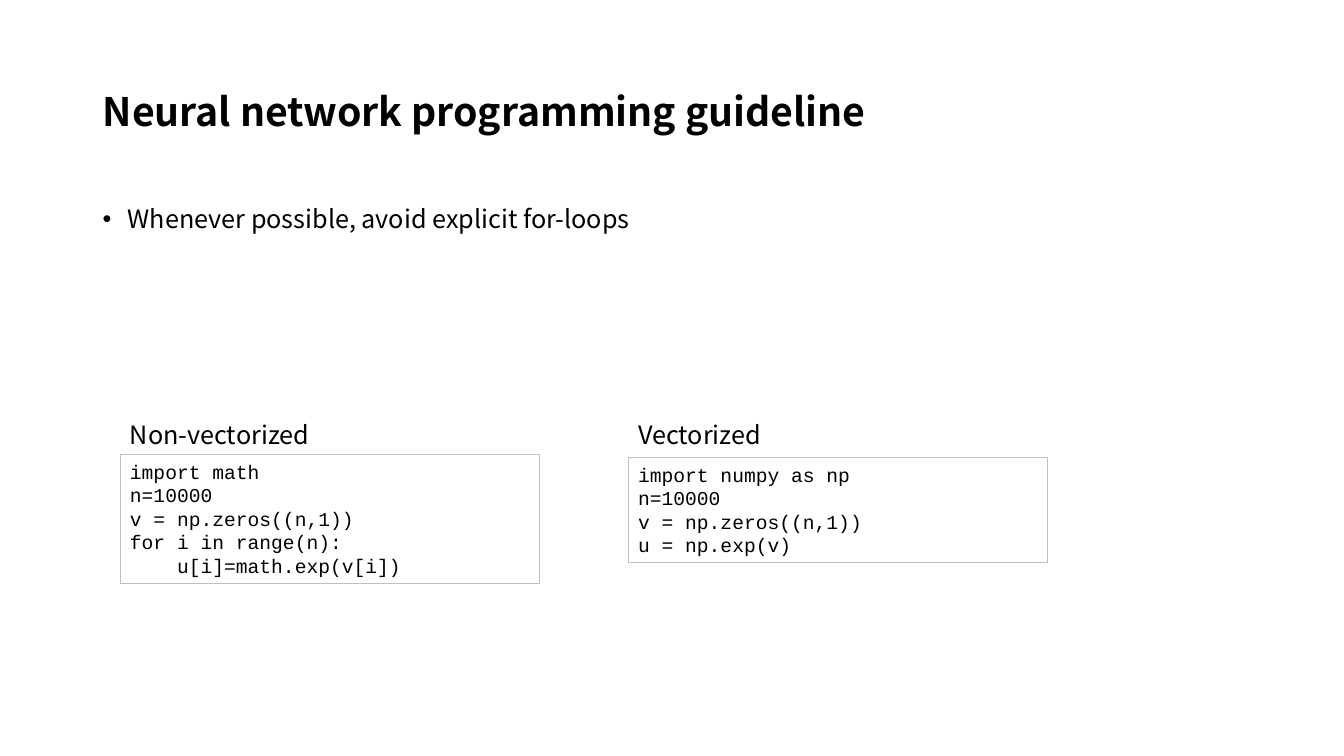
from dataclasses import dataclass

from lxml.etree import SubElement
from pptx import Presentation
from pptx.dml.color import RGBColor
from pptx.enum.shapes import MSO_SHAPE
from pptx.enum.text import MSO_ANCHOR, MSO_AUTO_SIZE, PP_ALIGN
from pptx.oxml.ns import qn
from pptx.slide import Slide
from pptx.text.text import TextFrame, _Paragraph as Paragraph
from pptx.util import Inches, Pt

SLIDE_WIDTH, SLIDE_HEIGHT = Inches(13.33), Inches(7.5)
TEXT_FONT, CODE_FONT = "Noto Sans CJK KR", "Courier New"
BLACK, GREY = "000000", "BFBFBF"
TEXT_SIZE, CODE_SIZE, TITLE_SIZE = 18, 14, 28

# Lengths are percentages of the slide's width and height.
MARGIN, CONTENT_WIDTH = 6.9, 86.27
FIRST_PANEL, PANEL_PITCH, PANEL_WIDTH = 8.93, 37.81, 31.21
HEADING_TOP, HEADING_WIDTH, HEADING_HEIGHT = 54.8, 17.63, 5.33
CODE_PADDING, CODE_LINE = 1.33, 3.15


@dataclass(frozen=True)
class Area:
    left: float
    top: float
    width: float
    height: float

    def lengths(self) -> tuple[int, int, int, int]:
        """Return left, top, width and height in slide units."""
        return (
            round(self.left * SLIDE_WIDTH / 100),
            round(self.top * SLIDE_HEIGHT / 100),
            round(self.width * SLIDE_WIDTH / 100),
            round(self.height * SLIDE_HEIGHT / 100),
        )


@dataclass(frozen=True)
class CodePanel:
    heading: str
    code_top: float
    code: tuple[str, ...]


PANELS = (
    CodePanel("Non-vectorized", 60.13, (
        "import math",
        "n=10000",
        "v = np.zeros((n,1))",
        "for i in range(n):",
        "    u[i]=math.exp(v[i])",
    )),
    CodePanel("Vectorized", 60.53, (
        "import numpy as np",
        "n=10000",
        "v = np.zeros((n,1))",
        "u = np.exp(v)",
    )),
)


def color(value: str) -> RGBColor:
    return RGBColor.from_string(value)


def style(paragraph: Paragraph, font_name: str, size: float, bold: bool = False) -> None:
    paragraph.alignment = PP_ALIGN.LEFT
    font = paragraph.font
    font.name, font.size, font.bold = font_name, Pt(size), bold
    font.color.rgb = color(BLACK)


def write(frame: TextFrame, lines: tuple[str, ...], font_name: str, size: float) -> None:
    frame.word_wrap = True
    frame.vertical_anchor = MSO_ANCHOR.TOP
    for index, line in enumerate(lines):
        paragraph = frame.add_paragraph() if index else frame.paragraphs[0]
        paragraph.text = line
        style(paragraph, font_name, size)


def add_title(page: Slide, text: str) -> None:
    title = page.shapes.title
    title.left, title.top, title.width, title.height = Area(
        MARGIN, 5.33, CONTENT_WIDTH, 19.33).lengths()
    frame = title.text_frame
    frame.text = text
    frame.auto_size = MSO_AUTO_SIZE.NONE
    frame.vertical_anchor = MSO_ANCHOR.MIDDLE
    frame.paragraphs[0].line_spacing = 0.9
    style(frame.paragraphs[0], TEXT_FONT, TITLE_SIZE, bold=True)


def add_bullet(page: Slide, text: str) -> None:
    box = page.shapes.add_textbox(*Area(MARGIN, 26.67, CONTENT_WIDTH, 6.67).lengths())
    paragraph = box.text_frame.paragraphs[0]
    paragraph.line_spacing = 0.9
    properties = paragraph._p.get_or_add_pPr()
    properties.set("marL", str(Inches(0.25)))
    properties.set("indent", str(-Inches(0.25)))
    SubElement(properties, qn("a:buFont"), typeface="Arial")
    SubElement(properties, qn("a:buChar"), char="•")
    write(box.text_frame, (text,), TEXT_FONT, TEXT_SIZE)


def add_panel(page: Slide, panel: CodePanel, left: float) -> None:
    height = CODE_PADDING + CODE_LINE * len(panel.code)
    code_box = page.shapes.add_shape(
        MSO_SHAPE.RECTANGLE, *Area(left, panel.code_top, PANEL_WIDTH, height).lengths())
    code_box.shadow.inherit = False
    code_box.fill.background()
    code_box.line.color.rgb = color(GREY)
    code_box.line.width = Pt(0.75)
    write(code_box.text_frame, panel.code, CODE_FONT, CODE_SIZE)

    heading = page.shapes.add_textbox(
        *Area(left, HEADING_TOP, HEADING_WIDTH, HEADING_HEIGHT).lengths())
    write(heading.text_frame, (panel.heading,), TEXT_FONT, TEXT_SIZE)


def main() -> None:
    deck = Presentation()
    deck.slide_width, deck.slide_height = SLIDE_WIDTH, SLIDE_HEIGHT
    page = deck.slides.add_slide(deck.slide_layouts.get_by_name("Title Only"))
    add_title(page, "Neural network programming guideline")
    add_bullet(page, "Whenever possible, avoid explicit for-loops")
    for index, panel in enumerate(PANELS):
        add_panel(page, panel, FIRST_PANEL + index * PANEL_PITCH)
    deck.save("out.pptx")


if __name__ == "__main__":
    main()
